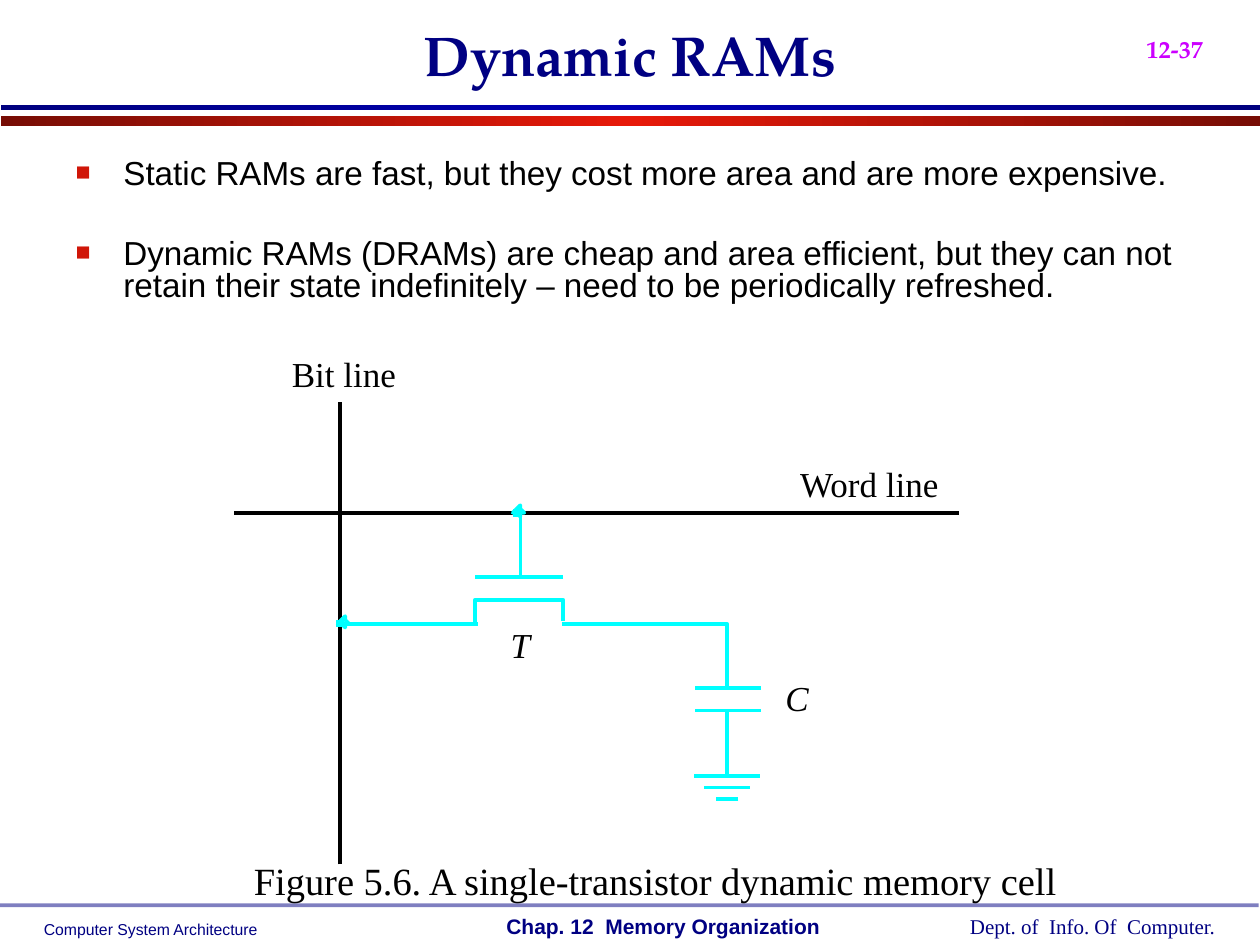
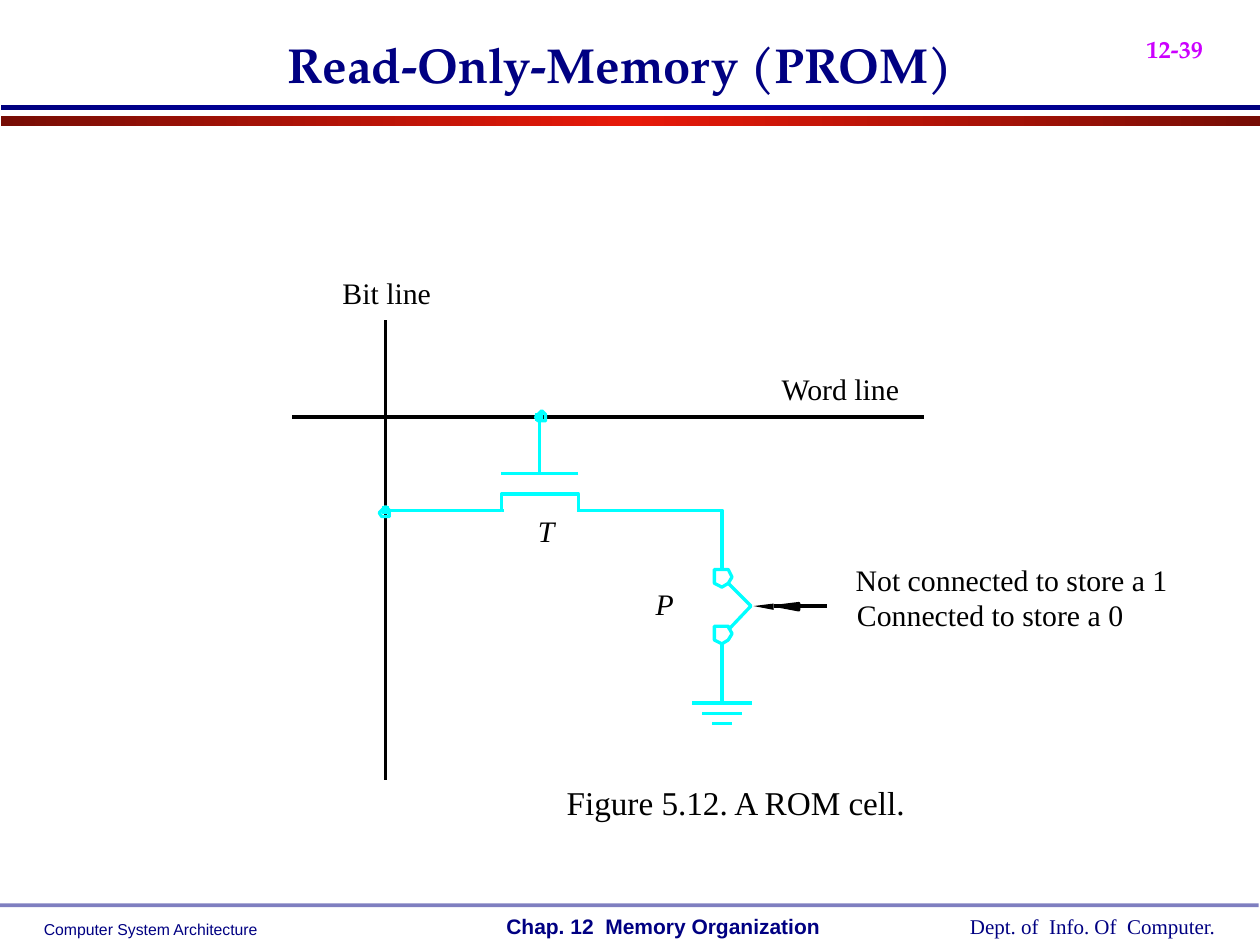
from copy import deepcopy

from lxml.etree import SubElement
from pptx import Presentation
from pptx.dml.color import RGBColor
from pptx.enum.shapes import MSO_CONNECTOR, MSO_SHAPE
from pptx.enum.text import MSO_ANCHOR, MSO_AUTO_SIZE, PP_ALIGN
from pptx.oxml.ns import qn
from pptx.util import Inches, Pt

COLORS = {
    "navy": "000082",
    "band_blue": "00007F",
    "band_blue_mid": "0000B6",
    "band_red": "770D05",
    "band_red_mid": "E71909",
    "bullet": "D01608",
    "page": "CC00FF",
    "cyan": "00FFFF",
    "black": "000000",
    "white": "FFFFFF",
}
SANS, SERIF, HEADING = "Arial", "Times New Roman", "TeX Gyre Pagella"
TITLE_ONLY, TITLE_AND_BODY = 5, 1

FOOTERS = [  # text, left, top, width, height, size, font, bold
    ("Computer System Architecture", 0.25, 7.25, 1.9, 0.25, 9, SANS, False),
    ("Dept. of  Info. Of  Computer.", 7.6, 7.2, 2.16, 0.3, 12, SERIF, False),
    ("Chap. 12  Memory Organization", 3.92, 7.2, 2.69, 0.3, 12, SANS, True),
]
TERMINAL = [(0.06, 0), (0, 0), (0, 0.06), (0, 0.11), (0.06, 0.14),
            (0.11, 0.11), (0.14, 0.06), (0.11, 0)]


def rgb(name):
    return RGBColor.from_string(COLORS[name])


def shifted(points, left, top):
    return [(left + x, top + y) for x, y in points]


class Lecture:
    """Holds the deck, the current page and the weight of its drawing."""

    def __init__(self):
        self.deck = Presentation()
        self.deck.slide_width, self.deck.slide_height = Inches(10), Inches(7.5)
        self.page = None
        self.weight = self.label_size = 0

    def start_page(self, layout, number, weight, label_size):
        self.page = self.deck.slides.add_slide(self.deck.slide_layouts[layout])
        self.weight, self.label_size = weight, label_size
        self.gradient_band(0.92, 0.08, "band_red", "band_red_mid")
        self.gradient_band(0.83, 0.04, "band_blue", "band_blue_mid")
        for text, left, top, width, height, size, font, bold in FOOTERS:
            self.text(text, left, top, width, height, size, font, "navy",
                      bold=bold, inset=True)
        rule = self.rectangle(0, 7.17, 9.99, 0.03)
        rule.fill.solid()
        rule.fill.fore_color.rgb = rgb("navy")
        color = rule._element.spPr.find(".//" + qn("a:srgbClr"))
        SubElement(color, qn("a:alpha"), val="50000")
        box = self.text(number, 9, 0, 1.08, 0.56, 24, HEADING, "page",
                        bold=True, inset=True)
        span = box.text_frame.paragraphs[0].runs[0]
        span._r.get_or_add_rPr().set("baseline", "-25000")

    def format_spans(self, para, size, font, color, bold=False, italic=False):
        for span in para.runs:
            span.font.size, span.font.name = Pt(size), font
            span.font.bold, span.font.italic = bold, italic
            span.font.color.rgb = rgb(color)

    def place(self, shape, left, top, width, height):
        shape.left, shape.top = Inches(left), Inches(top)
        shape.width, shape.height = Inches(width), Inches(height)

    def title(self, text, left, top, size):
        box = self.page.shapes.title
        self.place(box, left, top, 8.5, 0.75)
        frame = box.text_frame
        frame.text = text
        frame.vertical_anchor = MSO_ANCHOR.BOTTOM
        frame.auto_size = MSO_AUTO_SIZE.NONE
        para = frame.paragraphs[0]
        para.alignment = PP_ALIGN.CENTER
        self.format_spans(para, size, HEADING, "navy", bold=True)

    def bullets(self, items, left, top, width, height):
        box = self.page.placeholders[1]
        self.place(box, left, top, width, height)
        frame = box.text_frame
        frame.text = "\n".join(items)
        frame.auto_size = MSO_AUTO_SIZE.NONE
        for index, para in enumerate(frame.paragraphs):
            props = para._p.get_or_add_pPr()
            props.set("marL", str(Inches(0.38)))
            props.set("indent", str(-Inches(0.38)))
            color = SubElement(props, qn("a:buClr"))
            SubElement(color, qn("a:srgbClr"), val=COLORS["bullet"])
            SubElement(props, qn("a:buSzPct"), val="75000")
            SubElement(props, qn("a:buFont"), typeface=SANS)
            SubElement(props, qn("a:buChar"), char="■")
            para.line_spacing = 0.8
            para.space_before = Pt(27.4 if index else 0)
            self.format_spans(para, 19, SANS, "black")

    def text(self, text, left, top, width, height, size, font, color,
             bold=False, italic=False, inset=False):
        """Add one unwrapped line; without insets it is centred."""
        box = self.page.shapes.add_textbox(
            Inches(left), Inches(top), Inches(width), Inches(height))
        frame = box.text_frame
        frame.text = text
        frame.word_wrap = False
        frame.auto_size = MSO_AUTO_SIZE.SHAPE_TO_FIT_TEXT
        para = frame.paragraphs[0]
        if not inset:
            frame.margin_left = frame.margin_right = 0
            frame.margin_top = frame.margin_bottom = 0
            para.alignment = PP_ALIGN.CENTER
        self.format_spans(para, size, font, color, bold, italic)
        return box

    def label(self, text, left, top, width, italic=False, size=None):
        size = size or self.label_size
        self.text(text, left, top, width, size / 60, size, SERIF, "black",
                  italic=italic)

    def rectangle(self, left, top, width, height):
        shape = self.page.shapes.add_shape(
            MSO_SHAPE.RECTANGLE, Inches(left), Inches(top),
            Inches(width), Inches(height))
        shape.shadow.inherit = False
        shape.line.fill.background()
        return shape

    def gradient_band(self, top, height, edge, middle):
        band = self.rectangle(0.01, top, 9.99, height)
        band.fill.gradient()
        band.fill.gradient_angle = 0
        stop_list = band._element.spPr.find(".//" + qn("a:gsLst"))
        stop_list.append(deepcopy(stop_list[0]))
        for stop, position, color in zip(band.fill.gradient_stops, (0, 0.5, 1),
                                         (edge, middle, edge)):
            stop.position = position
            stop.color.rgb = rgb(color)

    def stroke(self, shape, color, weight=None):
        shape.line.color.rgb = rgb(color)
        shape.line.width = Pt(weight or self.weight)

    def line(self, x1, y1, x2, y2, color="cyan", weight=None):
        line = self.page.shapes.add_connector(
            MSO_CONNECTOR.STRAIGHT, Inches(x1), Inches(y1), Inches(x2), Inches(y2))
        self.stroke(line, color, weight)
        SubElement(line._element.spPr, qn("a:effectLst"))

    def outline(self, points, color="cyan", closed=False, filled=False):
        """Draw a freeform that is either filled or only stroked."""
        corners = [(Inches(x), Inches(y)) for x, y in points]
        builder = self.page.shapes.build_freeform(*corners[0])
        builder.add_line_segments(corners[1:], close=closed)
        shape = builder.convert_to_shape()
        shape.shadow.inherit = False
        if filled:
            shape.fill.solid()
            shape.fill.fore_color.rgb = rgb(color)
            shape.line.fill.background()
        else:
            shape.fill.background()
            self.stroke(shape, color)

    def junction(self, x, y, radius, ring):
        corners = [(-1, -1), (1, -1), (1, 1), (-1, 1)]
        square = [(x + radius * i, y + radius * j) for i, j in corners]
        self.outline(square, closed=True, filled=True)
        self.outline(ring, closed=True)

    def ground(self, x, y, half_widths, step):
        for index, half in enumerate(half_widths):
            level = y + index * step
            self.line(x + half, level, x - half, level)

    def transistor(self, channel, plate_y, gate_x, word_y, bit_x, mask):
        """Draw gate and channel, open at the bottom, and wire both lines."""
        left, top, width, height = channel
        bottom = top + height
        self.line(gate_x, plate_y, gate_x, word_y)
        self.line(left, bottom, bit_x, bottom)
        self.line(left + width, plate_y, left, plate_y)
        box = self.rectangle(*channel)
        box.fill.background()
        self.stroke(box, "cyan")
        x1, x2, y, weight = mask
        self.line(x1, y, x2, y, "white", weight)


def dynamic_ram_page(lecture):
    lecture.start_page(TITLE_AND_BODY, "12-37", weight=2.13, label_size=20)
    lecture.title("Dynamic RAMs", 0.75, 0, 32)
    lecture.bullets([
        "Static RAMs are fast, but they cost more area and are more expensive.",
        "Dynamic RAMs (DRAMs) are cheap and area efficient, but they can not "
        "retain their state indefinitely – need to be periodically refreshed.",
    ], 0.5, 1.22, 9, 1.71)
    lecture.label("Figure 5.6. A single-transistor dynamic memory cell",
                  1.95, 6.8, 6.5, size=22)
    lecture.label("T", 4.05, 4.95, 0.16, italic=True)
    lecture.label("C", 6.23, 5.37, 0.19, italic=True)
    lecture.label("Word line", 6.3, 3.67, 1.2)
    lecture.label("Bit line", 2.28, 2.8, 0.9)

    lecture.line(7.61, 4.07, 1.86, 4.07, "black")
    lecture.line(2.7, 6.86, 2.7, 3.19, "black")
    lecture.transistor((3.77, 4.76, 0.7, 0.19), 4.58, 4.13, 4.07, 2.7,
                       mask=(3.79, 4.7, 4.95, 3))
    lecture.outline([(5.77, 5.46), (5.77, 4.95), (4.46, 4.95)])
    for plate_y in (5.46, 5.64):
        lecture.line(6.04, plate_y, 5.52, plate_y)
    lecture.line(5.77, 6.16, 5.77, 5.64)
    lecture.ground(5.77, 6.16, (0.26, 0.18, 0.09), 0.09)
    ring = [(0.06, 0), (0, 0.06), (0.03, 0.06), (0.06, 0.09),
            (0.06, 0.06), (0.09, 0.06), (0.06, 0.03)]
    lecture.junction(2.7, 4.95, 0.03, shifted(ring, 2.68, 4.89))
    lecture.junction(4.1, 4.07, 0.03, shifted(ring, 4.07, 4.01))


def prom_page(lecture):
    lecture.start_page(TITLE_ONLY, "12-39", weight=1.87, label_size=17)
    lecture.title("Read-Only-Memory (PROM)", 0.67, 0.04, 28)
    lecture.label("Not connected to store a 1", 6.73, 4.46, 2.6)
    lecture.label("Connected to store a 0", 6.76, 4.74, 2.2)
    lecture.label("Figure 5.12. A ROM cell.", 4.44, 6.21, 2.8, size=19)
    lecture.label("Word line", 6.12, 2.94, 1.1)
    lecture.label("P", 5.2, 4.65, 0.15, italic=True)
    lecture.label("Bit line", 2.62, 2.18, 0.9)
    lecture.label("T", 4.23, 4.07, 0.21, italic=True)

    lecture.line(7.33, 3.31, 2.32, 3.31, "black")
    lecture.line(3.06, 6.19, 3.06, 2.54, "black")
    lecture.transistor((3.98, 3.92, 0.61, 0.13), 3.76, 4.28, 3.31, 3.06,
                       mask=(4, 4.58, 4.04, 6))
    lecture.outline([(5.73, 4.52), (5.73, 4.05), (4.59, 4.05)])
    for top in (4.52, 4.97):
        lecture.outline(shifted(TERMINAL, 5.67, top), closed=True)
    lecture.outline([(5.78, 4.63), (5.96, 4.81), (5.78, 5)])
    lecture.line(5.73, 5.58, 5.73, 5.11)
    lecture.ground(5.73, 5.58, (0.24, 0.16, 0.08), 0.08)

    lecture.line(6.14, 4.81, 6.56, 4.81, "black")
    arrowhead = [(0.16, 0), (0, 0.02), (0.16, 0.05)]
    lecture.outline(shifted(arrowhead, 6.18, 4.79), "black", closed=True)
    lecture.outline(shifted(arrowhead, 5.98, 4.79), "black", closed=True, filled=True)
    ring = [(0.05, 0), (0.02, 0.03), (0, 0.05), (0.02, 0.08),
            (0.05, 0.08), (0.08, 0.08), (0.08, 0.05), (0.08, 0.03)]
    lecture.junction(3.06, 4.05, 0.03, shifted(ring, 3.01, 4.02))
    lecture.junction(4.28, 3.31, 0.03, shifted(ring, 4.25, 3.26))


def main():
    lecture = Lecture()
    dynamic_ram_page(lecture)
    prom_page(lecture)
    lecture.deck.save("out.pptx")


if __name__ == "__main__":
    main()
